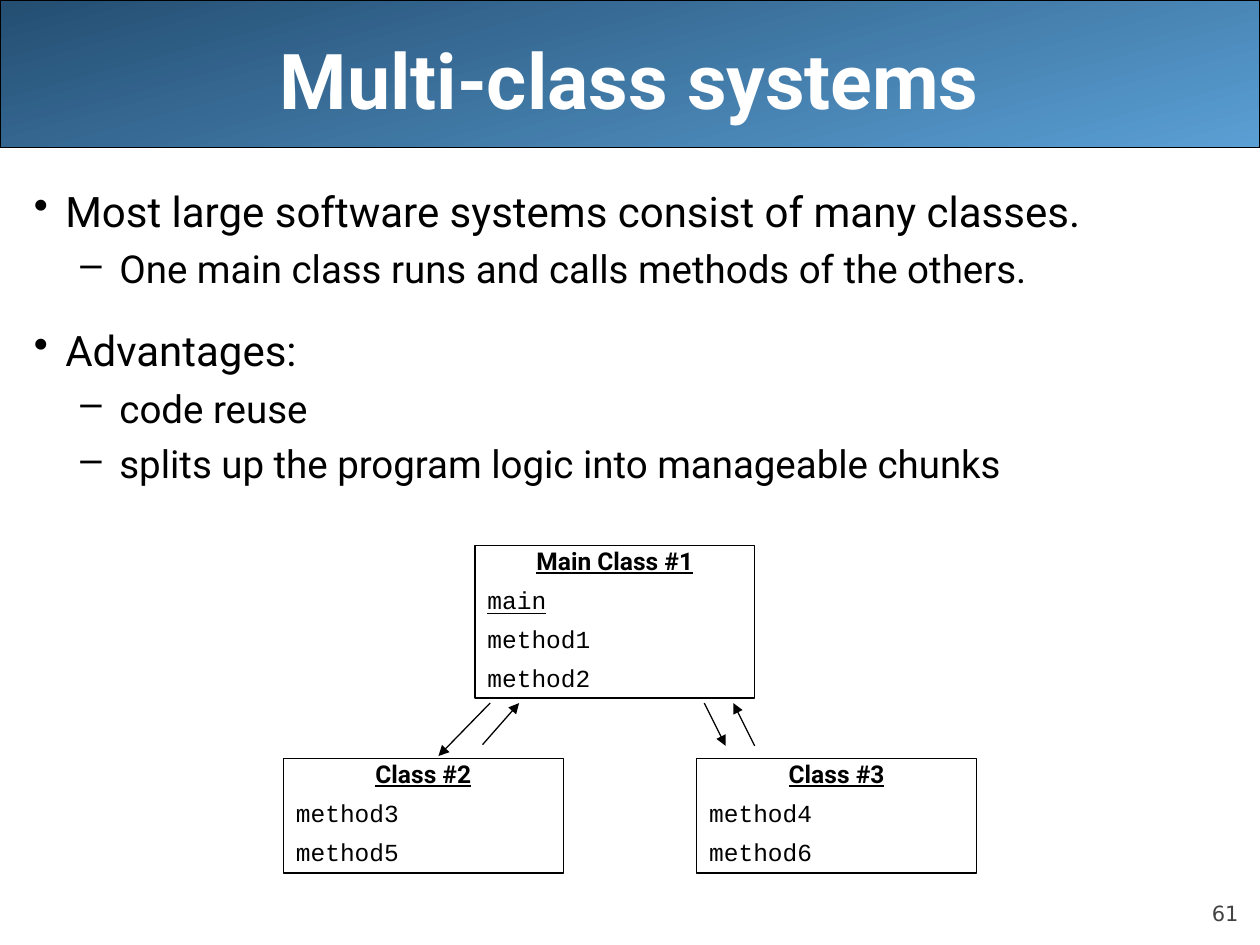
from lxml.etree import SubElement
from pptx import Presentation
from pptx.dml.color import RGBColor
from pptx.enum.shapes import MSO_CONNECTOR, MSO_SHAPE
from pptx.enum.text import MSO_ANCHOR, MSO_AUTO_SIZE, PP_ALIGN
from pptx.oxml.ns import qn
from pptx.util import Inches, Pt

BLACK = "000000"
BOX_WIDTH = 2.22
BULLETS = [
    (0, "Most large software systems consist of many classes.", 6),
    (1, "One main class runs and calls methods of the others.", 5.5),
    (0, "Advantages:", 19),
    (1, "code reuse", 5.5),
    (1, "splits up the program logic into manageable chunks", 5.5),
]
LEVELS = [("•", 24, 0.25, -0.25), ("–", 22, 0.68, -0.31)]
CLASSES = [
    (3.77, 4.33, 1.21, "Main Class #1", ["main", "method1", "method2"]),
    (2.25, 6.02, 0.91, "Class #2", ["method3", "method5"]),
    (5.53, 6.02, 0.91, "Class #3", ["method4", "method6"]),
]
ARROWS = [
    (3.89, 5.58, 3.48, 6),
    (3.83, 5.91, 4.12, 5.58),
    (5.59, 5.58, 5.76, 5.92),
    (5.99, 5.92, 5.82, 5.58),
]


def color(value):
    return RGBColor.from_string(value)


def write(paragraph, text, size=14, font="Roboto", fill=BLACK, bold=False,
          underline=False, align=PP_ALIGN.LEFT, before=0, spacing=None):
    paragraph.alignment = align
    paragraph.space_before = Pt(before)
    if spacing:
        paragraph.line_spacing = spacing
    run = paragraph.add_run()
    run.text = text
    run.font.size = Pt(size)
    run.font.name = font
    run.font.bold = bold
    run.font.underline = underline
    run.font.color.rgb = color(fill)


def next_paragraph(frame, index):
    return frame.paragraphs[0] if index == 0 else frame.add_paragraph()


def add_text_frame(slide, left, top, width, height, anchor=MSO_ANCHOR.TOP):
    box = slide.shapes.add_textbox(Inches(left), Inches(top), Inches(width), Inches(height))
    frame = box.text_frame
    frame.word_wrap = True
    frame.vertical_anchor = anchor
    return frame


def add_outlined_shape(slide, kind, left, top, width, height):
    shape = slide.shapes.add_shape(kind, Inches(left), Inches(top), Inches(width), Inches(height))
    shape.shadow.inherit = False
    shape.fill.background()
    shape.line.color.rgb = color(BLACK)
    shape.line.width = Pt(0.75)
    return shape


def add_banner(slide):
    banner = add_outlined_shape(slide, MSO_SHAPE.ROUNDED_RECTANGLE, 0, 0, 10, 1.17)
    banner.adjustments[0] = 0
    banner.fill.gradient()
    banner.fill.gradient_angle = 285
    for stop, position, value in zip(banner.fill.gradient_stops, (0, 1), ("244E72", "5A9FD4")):
        stop.position = position
        stop.color.rgb = color(value)


def add_bullets(slide):
    frame = add_text_frame(slide, 0.17, 1.42, 9.83, 5.67)
    for index, (level, text, before) in enumerate(BULLETS):
        character, size, margin, indent = LEVELS[level]
        paragraph = next_paragraph(frame, index)
        paragraph.level = level
        write(paragraph, text, size=size, before=before)
        properties = paragraph._p.get_or_add_pPr()
        properties.set("marL", str(Inches(margin)))
        properties.set("indent", str(Inches(indent)))
        SubElement(properties, qn("a:buChar"), char=character)


def add_class_box(slide, left, top, height, name, methods):
    box = add_outlined_shape(slide, MSO_SHAPE.RECTANGLE, left, top, BOX_WIDTH, height)
    frame = box.text_frame
    frame.word_wrap = True
    frame.auto_size = MSO_AUTO_SIZE.SHAPE_TO_FIT_TEXT
    frame.vertical_anchor = MSO_ANCHOR.TOP
    layout = {"before": 8.8, "spacing": 0.8}
    write(next_paragraph(frame, 0), name, bold=True, underline=True,
          align=PP_ALIGN.CENTER, **layout)
    for index, method in enumerate(methods, 1):
        write(next_paragraph(frame, index), method, font="Courier New",
              underline=method == "main", **layout)


def add_arrow(slide, *ends):
    arrow = slide.shapes.add_connector(MSO_CONNECTOR.STRAIGHT, *map(Inches, ends))
    arrow.line.color.rgb = color(BLACK)
    arrow.line.width = Pt(0.75)
    SubElement(arrow.line._get_or_add_ln(), qn("a:tailEnd"), type="triangle")
    SubElement(arrow._element.spPr, qn("a:effectLst"))


def add_page_number(slide):
    frame = add_text_frame(slide, 9, 6.95, 0.83, 0.4, MSO_ANCHOR.BOTTOM)
    frame.margin_left = frame.margin_right = frame.margin_top = frame.margin_bottom = 0
    write(frame.paragraphs[0], "61", size=12, font="DejaVu Sans", fill="424242",
          align=PP_ALIGN.RIGHT, before=5)


def main():
    presentation = Presentation()
    presentation.slide_width = Inches(10)
    presentation.slide_height = Inches(7.5)
    slide = presentation.slides.add_slide(presentation.slide_layouts[6])
    add_banner(slide)
    add_page_number(slide)
    title = add_text_frame(slide, 0.5, 0, 9, 1.25, MSO_ANCHOR.MIDDLE)
    write(title.paragraphs[0], "Multi-class systems", size=44, fill="FFFFFF",
          bold=True, align=PP_ALIGN.CENTER)
    add_bullets(slide)
    for class_box in CLASSES:
        add_class_box(slide, *class_box)
    for arrow in ARROWS:
        add_arrow(slide, *arrow)
    presentation.save("out.pptx")


if __name__ == "__main__":
    main()
